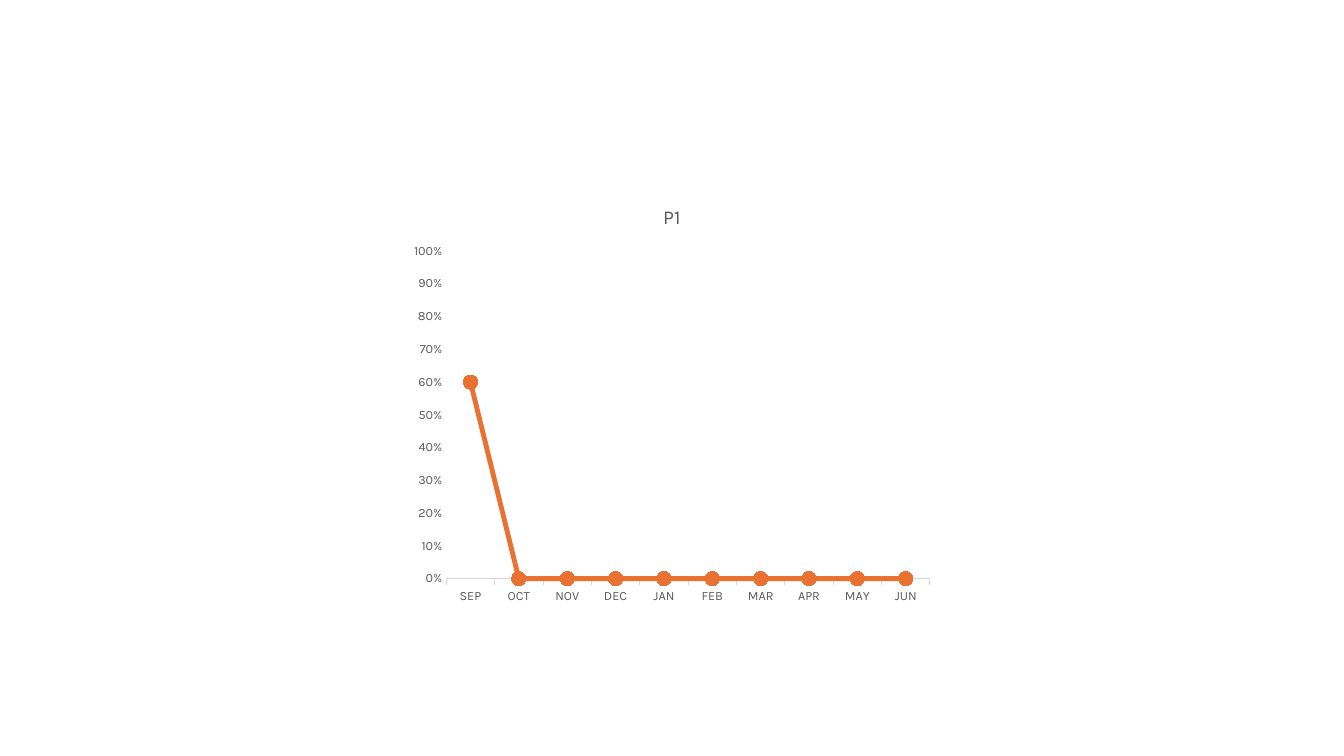
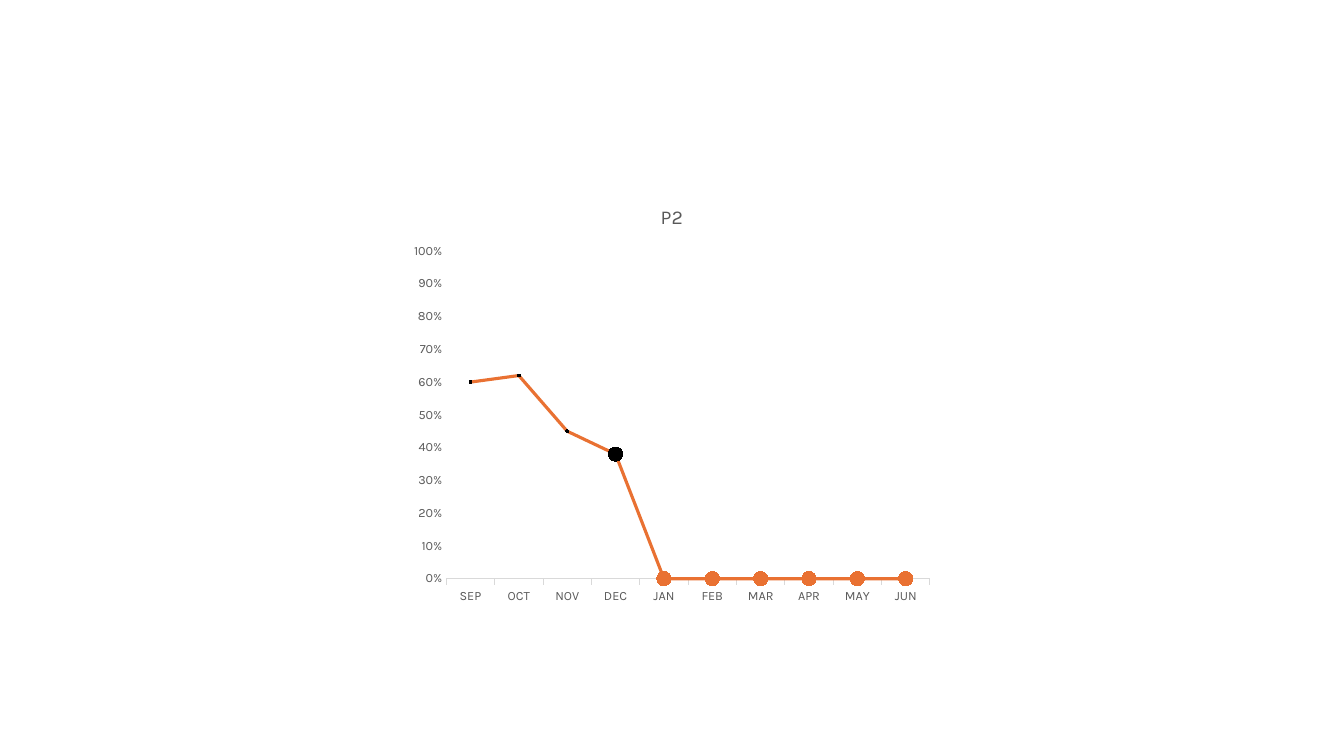
from pptx import Presentation
from pptx.chart.data import CategoryChartData
from pptx.dml.color import RGBColor
from pptx.enum.chart import XL_CHART_TYPE as ChartType
from pptx.enum.chart import XL_MARKER_STYLE as MarkerStyle
from pptx.enum.chart import XL_TICK_MARK as TickMark
from pptx.util import Inches, Pt

MONTHS = ["SEP", "OCT", "NOV", "DEC", "JAN", "FEB", "MAR", "APR", "MAY", "JUN"]
CHARTS = [
    {"title": "P1", "values": [0.6], "line_width": 3.5, "point_sizes": []},
    {"title": "P2", "values": [0.6, 0.62, 0.45, 0.38], "line_width": 2.25,
     "point_sizes": [2, 2, 2, 10]},
]
FRAME = (4, 1.85, 5.33, 4.22)
FONT = "Karla"
ORANGE, BLACK, GREY, RULE = "E97132", "000000", "595959", "D9D9D9"
MARKER_SIZE = 10
VALUE_AXIS = {"minimum_scale": 0, "maximum_scale": 1, "major_unit": 0.1,
              "has_major_gridlines": False, "major_tick_mark": TickMark.NONE}
CATEGORY_AXIS = {"major_tick_mark": TickMark.OUTSIDE}


def color(value):
    return RGBColor.from_string(value)


def assign(target, values):
    for name, value in values.items():
        setattr(target, name, value)


def style_font(font, size, shade):
    assign(font, {"name": FONT, "size": Pt(size), "bold": False})
    font.color.rgb = color(shade)


def style_line(line, shade, width):
    line.color.rgb = color(shade)
    line.width = Pt(width)


def style_marker(marker, size, shade):
    assign(marker, {"style": MarkerStyle.CIRCLE, "size": size})
    marker.format.fill.solid()
    marker.format.fill.fore_color.rgb = color(shade)
    style_line(marker.format.line, shade, 0.75)


def style_axes(chart):
    for axis, values in ((chart.category_axis, CATEGORY_AXIS),
                         (chart.value_axis, VALUE_AXIS)):
        assign(axis, values)
        style_font(axis.tick_labels.font, 9, GREY)
    style_line(chart.category_axis.format.line, RULE, 0.75)
    chart.value_axis.format.line.fill.background()
    assign(chart.value_axis.tick_labels,
           {"number_format": "0%", "number_format_is_linked": False})


def add_line_chart(page, content):
    data = CategoryChartData(number_format="0%")
    data.categories = MONTHS
    values = content["values"]
    data.add_series(content["title"], values + [None] * (len(MONTHS) - len(values)))
    chart = page.shapes.add_chart(
        ChartType.LINE_MARKERS, *map(Inches, FRAME), data).chart
    assign(chart, {"has_legend": False, "has_title": True})
    style_font(chart.font, 10, BLACK)
    chart.chart_title.include_in_layout = False
    para = chart.chart_title.text_frame.paragraphs[0]
    span = para.add_run()
    span.text = content["title"]
    style_font(span.font, 14, GREY)
    style_axes(chart)
    for blanks in chart.element.xpath(".//c:dispBlanksAs"):
        blanks.set("val", "zero")

    plot = chart.plots[0]
    plot.vary_by_categories = False
    series = plot.series[0]
    series.smooth = False
    style_line(series.format.line, ORANGE, content["line_width"])
    style_marker(series.marker, MARKER_SIZE, ORANGE)
    for index, size in enumerate(content["point_sizes"]):
        point = series.points[index]
        style_marker(point.marker, size, BLACK)
        style_line(point.format.line, BLACK, content["line_width"])


deck = Presentation()
assign(deck, {"slide_width": Inches(13.33), "slide_height": Inches(7.5)})
for content in CHARTS:
    add_line_chart(deck.slides.add_slide(deck.slide_layouts[6]), content)
deck.save("out.pptx")
